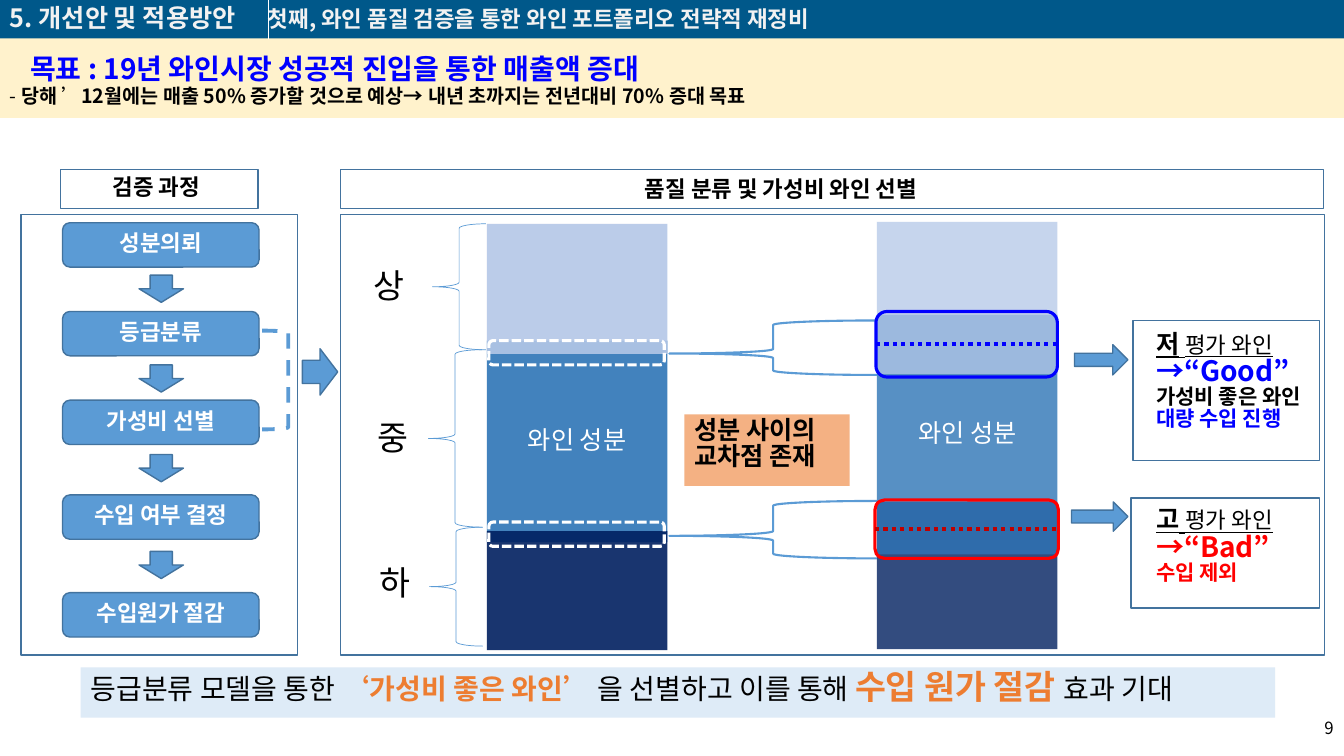
from pptx import Presentation
from pptx.dml.color import RGBColor as Rgb
from pptx.enum.dml import MSO_LINE as Dash, MSO_PATTERN as Pat
from pptx.enum.shapes import MSO_CONNECTOR as Conn, MSO_SHAPE as Form
from pptx.enum.text import MSO_ANCHOR as Anchor, PP_ALIGN as Align
from pptx.oxml.ns import qn
from pptx.util import Inches, Pt
from lxml.etree import SubElement as Sub

# Grid: cells of a tenth of an inch
CELL = Inches(0.1)
COLS, ROWS = 133.33, 75
FONT = "Noto Sans CJK KR"
HEX = dict(title="00588A", cream="FFF2CC", band="DEEBF7", sky="5B9BD5", edge="43739E",
           navy="002060", mid="2E75B6", pale="B4C7E7", ice="BDD7EE", peach="F4B183",
           blue="0000FF", red="FF0000", wine="C00000", gold="ED7D31",
           snow="F2F2F2", white="FFFFFF", black="000000")

deck = Presentation()
deck.slide_width, deck.slide_height = int(COLS * CELL), ROWS * CELL
slide = deck.slides.add_slide(deck.slide_layouts[6])


def draw(form, x, y, w, h, fill=None, line=None, wide=1, dash=None, adj=(),
         alpha=100, anchor=Anchor.MIDDLE):
    """Add a shape given in columns and rows of the grid."""
    item = slide.shapes.add_shape(form, *[int(n * CELL) for n in (x, y, w, h)])
    item.shadow.inherit = False
    for i, share in enumerate(adj):
        item.adjustments[i] = share
    if fill:
        item.fill.solid()
        item.fill.fore_color.rgb = Rgb.from_string(HEX[fill])
        if alpha < 100:
            tint = item.fill._xPr.find(qn("a:solidFill"))[0]
            Sub(tint, qn("a:alpha"), val=str(alpha * 1000))
    else:
        item.fill.background()
    if line:
        item.line.color.rgb = Rgb.from_string(HEX[line])
        item.line.width = Pt(wide)
        item.line.dash_style = dash
    else:
        item.line.fill.background()
    item.text_frame.word_wrap = True
    item.text_frame.vertical_anchor = anchor
    return item


def write(item, text, size=16, color="black", bold=False, under=False, font=FONT,
          align=Align.LEFT, new=False, gap=0):
    """Add a run, in a new paragraph if asked."""
    frame = item.text_frame
    para = frame.add_paragraph() if new else frame.paragraphs[-1]
    if new or not para.runs:
        para.alignment, para.line_spacing = align, 0.85
        if new:
            para.space_before = Pt(gap)
    run = para.add_run()
    run.text = text
    run.font.size, run.font.bold, run.font.underline = Pt(size), bold, under
    run.font.name = font
    run.font.color.rgb = Rgb.from_string(HEX[color])
    Sub(run.font._element, qn("a:ea"), typeface=FONT)
    return para


# Title bar, with a tab to the subtitle
bar = draw(Form.RECTANGLE, 0, 0, COLS, 3.9, "title")
para = write(bar, "5. 개선안 및 적용방안\t", 18, "snow", True)
tabs = Sub(para._p.get_or_add_pPr(), qn("a:tabLst"))
Sub(tabs, qn("a:tab"), pos=str(int(25.6 * CELL)), algn="l")
write(bar, "첫째, 와인 품질 검증을 통한 와인 포트폴리오 전략적 재정비", 16, "snow", True)

# Goal band
goal = draw(Form.RECTANGLE, 0, 3.8, COLS, 7.9, "cream")
goal.text_frame.margin_top = Inches(0.13)
para = write(goal, "목표 : 19년 와인시장 성공적 진입을 통한 매출액 증대", 20, "blue", True)
para._p.get_or_add_pPr().set("marL", str(2 * CELL))
write(goal, "- ", 14, new=True, gap=2)
write(goal, "당해 ", 14, bold=True)
write(goal, "’", 14)
write(goal, "12월에는 매출 50% 증가할 것으로 예상→ 내년 초까지는 전년대비 70% 증대 목표", 14, bold=True)

# Panels and their headings
for box in ((2.1, 21.3, 27.4, 43.7), (33.8, 21.3, 97.6, 43.7),
            (6, 16.8, 19.6, 3.9), (33.8, 16.8, 97.5, 3.9)):
    draw(Form.RECTANGLE, *box, line="edge")
for x, y, w, text in ((10.2, 17.1, 11.8, "검증 과정"),
                      (63, 17.3, 32.9, "품질 분류 및 가성비 와인 선별")):
    write(draw(Form.RECTANGLE, x, y, w, 3.7, anchor=Anchor.TOP), text, bold=True)

# Steps of the check
for y, text in ((22.1, "성분의뢰"), (30.9, "등급분류"), (39.7, "가성비 선별"),
                (49.1, "수입 여부 결정"), (58.8, "수입원가 절감")):
    step = draw(Form.ROUNDED_RECTANGLE, 6.2, y, 19.5, 4.4, "sky", "edge")
    write(step, text, color="white", bold=True, align=Align.CENTER)
for y in (27.3, 36.2, 45.1, 54.7):
    draw(Form.DOWN_ARROW, 13.8, y, 4.4, 2.7, "sky", "edge")
draw(Form.RIGHT_BRACKET, 26, 32.8, 2.6, 9.8, line="sky", wide=2.75, dash=Dash.DASH)
draw(Form.RIGHT_ARROW, 30, 34.6, 3.5, 4.6, "sky", "edge")

# Stacked bars: column, row, height, fill, alpha, label
for x, y, h, fill, alpha, text in (
        (87, 49.8, 14.6, "navy", 80, ""), (87, 31.2, 23.8, "mid", 80, "와인 성분"),
        (87, 22, 15.1, "pale", 75, ""), (48.3, 33.8, 20, "mid", 90, "와인 성분"),
        (48.3, 22.2, 12.9, "pale", 90, ""), (48.3, 52.7, 11.8, "navy", 90, "")):
    part = draw(Form.RECTANGLE, x, y, 17.9, h, fill, alpha=alpha)
    if text:
        write(part, text, 18, "white", align=Align.CENTER)

# Soft hatched strips where grades meet
for y in (34.7, 50):
    strip = draw(Form.RECTANGLE, 87, y, 17.9, 2, "mid")
    strip.fill.patterned()
    strip.fill.pattern = Pat.WIDE_UPWARD_DIAGONAL
    strip.fill.fore_color.rgb = Rgb.from_string(HEX["ice"])
    strip.fill.back_color.rgb = Rgb.from_string(HEX["mid"])
    soft = strip._element.spPr.find(qn("a:effectLst"))
    Sub(soft, qn("a:softEdge"), rad=str(Pt(10)))

# Grades and braces
for x, y, text in ((36.1, 26.4, "상"), (36.5, 41.5, "중"), (36.7, 55.9, "하")):
    write(draw(Form.RECTANGLE, x, y, 5.1, 4.4, anchor=Anchor.TOP), text, 24)
for x, y, h in ((42.9, 22.2, 12.5), (42.5, 34.7, 17.6), (42.6, 52.3, 11.8)):
    draw(Form.LEFT_BRACE, x, y, 5.3, h, line="sky", wide=0.5)
for y, h in ((31.8, 5.4), (49.7, 5.7)):
    draw(Form.LEFT_BRACE, 66.4, y, 20.6, h, line="sky", wide=1.5, adj=(0.083, 0.607))

# Note between the bars
note = draw(Form.RECTANGLE, 67.9, 41.1, 16.4, 7.1, "peach", anchor=Anchor.TOP)
write(note, "성분 사이의", 18, bold=True)
write(note, "교차점 존재", 18, bold=True, new=True)

# Verdicts
for x, y, w, h in ((106.6, 34.2, 5.3, 3), (106.3, 49.8, 5.6, 2.9)):
    draw(Form.RIGHT_ARROW, x, y, w, h, "sky", "edge", adj=(0.438, 0.5))
for box, top, mark, lines in (
        ((112.4, 31.8, 18.5, 13.9), 32.3, "저",
         (("→“Good”", 20, "blue"), ("가성비 좋은 와인", 15, "black"),
          ("대량 수입 진행", 15, "blue"))),
        ((112.2, 49.4, 18.7, 10.9), 49.7, "고",
         (("→“Bad”", 20, "red"), ("수입 제외", 15, "red")))):
    draw(Form.RECTANGLE, *box, line="edge")
    card = draw(Form.RECTANGLE, 113.7, top, 18.2, 13, anchor=Anchor.TOP)
    write(card, mark, 18, bold=True, under=True)
    write(card, " ", 20, under=True)
    write(card, "평가 와인", 16, under=True)
    for text, size, color in lines:
        write(card, text, size, color, True, new=True)

# Crossing zones, with dotted middle lines
for y in (33.8, 51.8):
    draw(Form.ROUNDED_RECTANGLE, 48.5, y, 17.4, 2.4, line="white", wide=2.25,
         dash=Dash.SQUARE_DOT).line._get_or_add_ln().find(qn("a:prstDash")).set("val", "sysDash")
rules = [(slide.shapes.add_connector(Conn.STRAIGHT, int(26.6 * CELL), 0, int(26.6 * CELL),
                                     int(3.9 * CELL)), "white", 0.5)]
for x, y, w, h, color, dot in ((86.9, 30.9, 18, 6.5, "blue", "blue"),
                               (86.8, 49.6, 18.2, 5.8, "red", "wine")):
    zone = draw(Form.ROUNDED_RECTANGLE, x, y, w, h, line=color, wide=2.25)
    rule = slide.shapes.add_connector(Conn.STRAIGHT, 0, 0, 0, 0)
    rule.begin_connect(zone, 1)
    rule.end_connect(zone, 3)
    rule.line.dash_style = Dash.ROUND_DOT
    rules.append((rule, dot, 3))
for rule, color, wide in rules:
    rule.line.color.rgb = Rgb.from_string(HEX[color])
    rule.line.width = Pt(wide)
    Sub(rule._element.spPr, qn("a:effectLst"))

# Conclusion and page number
end = draw(Form.RECTANGLE, 8, 66.2, 118.5, 5, "band", anchor=Anchor.TOP)
write(end, "등급분류 모델을 통한 ", 20)
write(end, "‘가성비 좋은 와인’ ", 20, "gold", True, font="Arial")
write(end, "을 선별하고 이를 통해 ", 20)
write(end, "수입 원가 절감 ", 24, "gold", True)
write(end, "효과 기대", 20)
write(draw(Form.RECTANGLE, 103.3, 70.4, 30, 4), "9", 12, align=Align.RIGHT)

deck.save("out.pptx")
